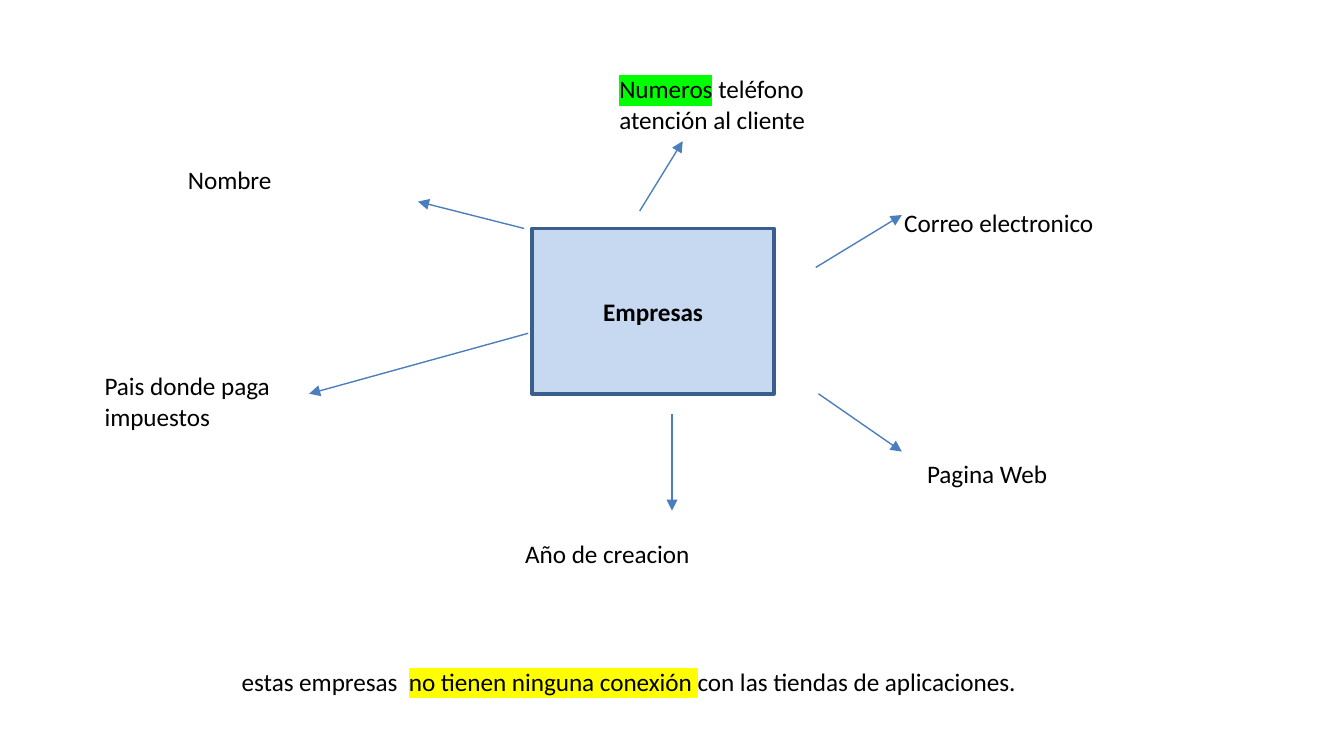
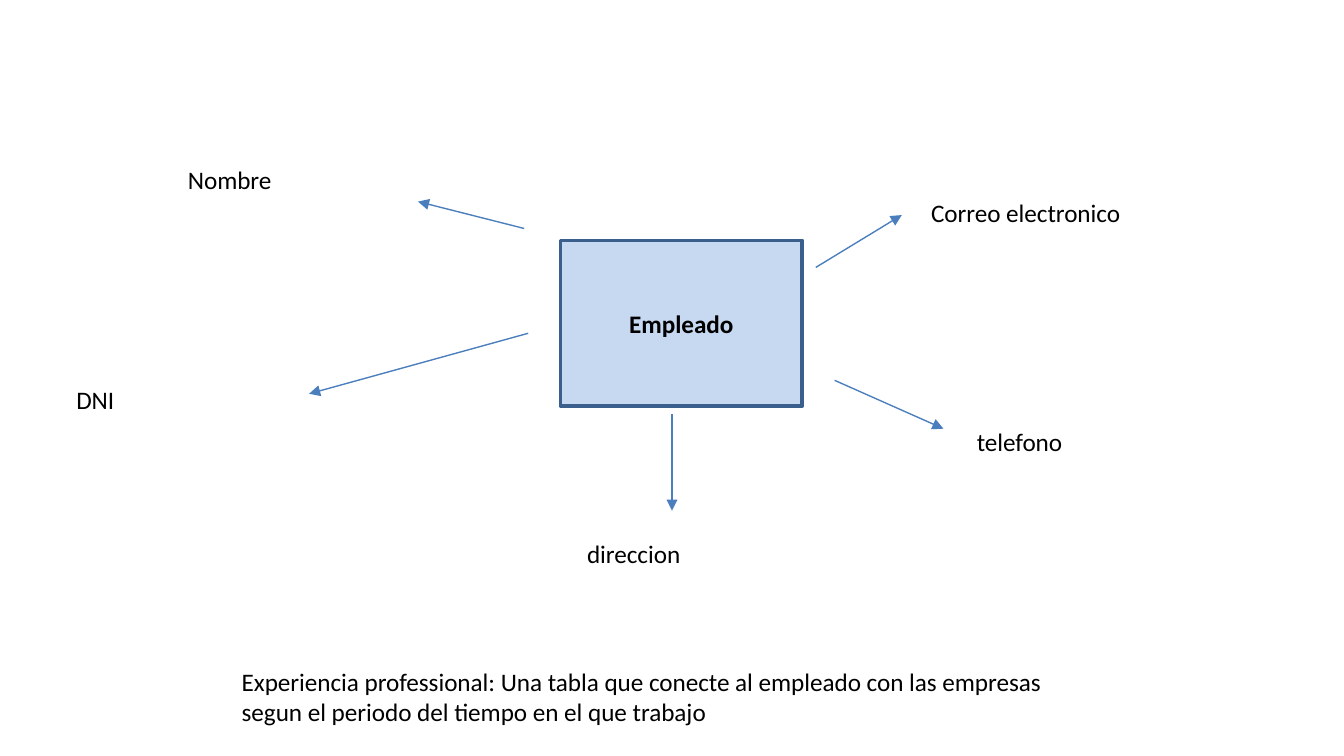
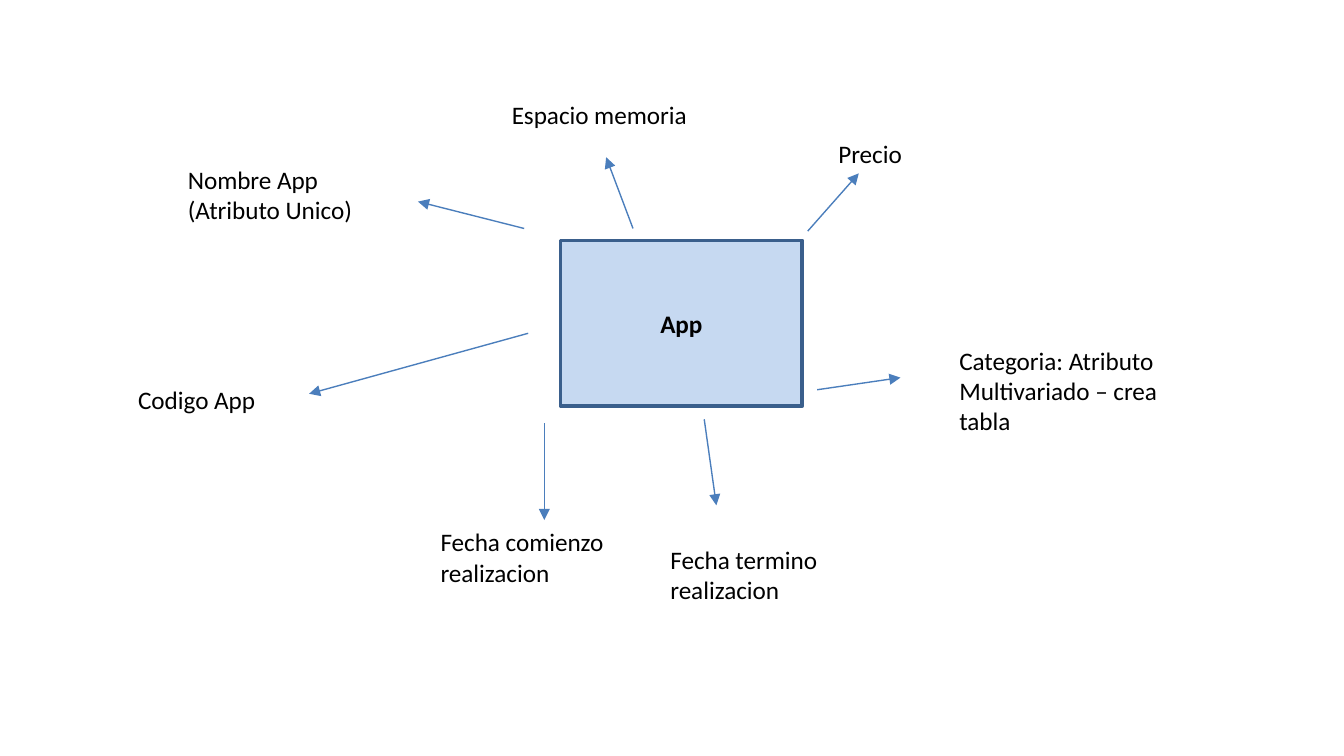
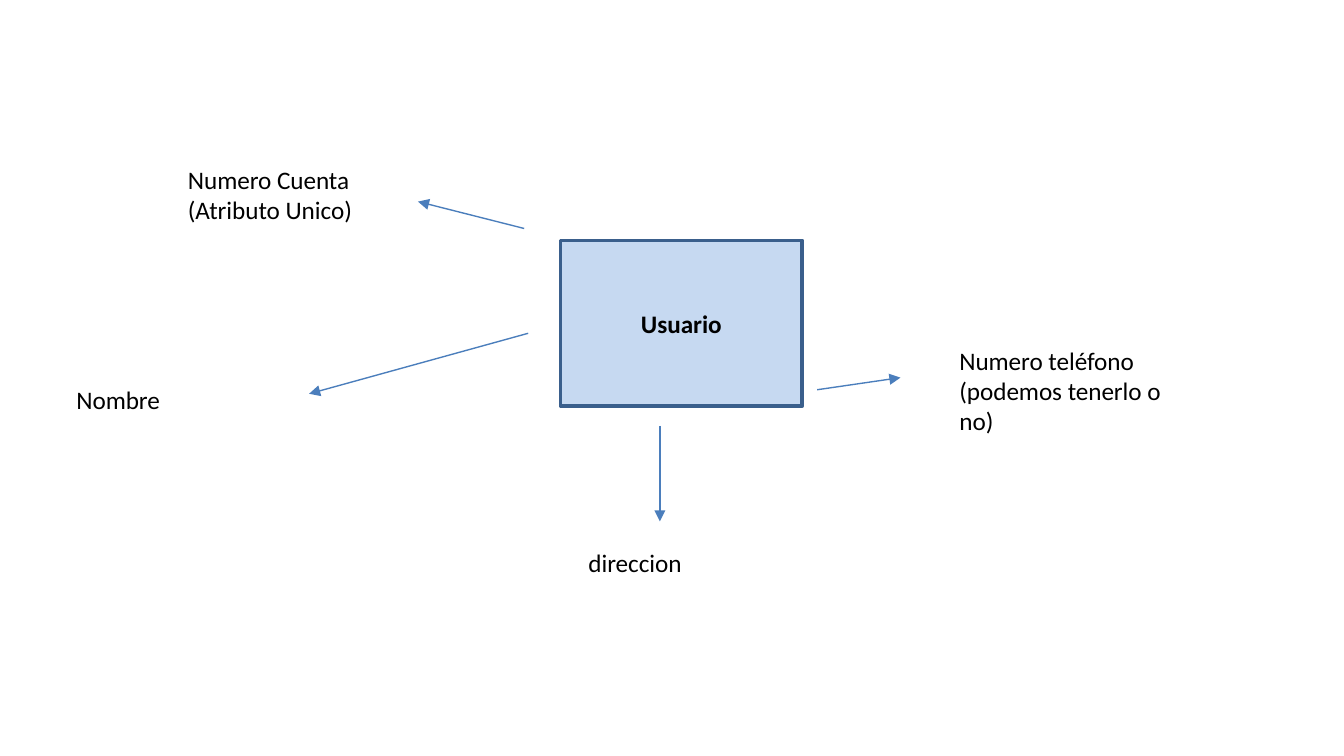
from dataclasses import dataclass

from lxml.etree import SubElement
from pptx import Presentation
from pptx.dml.color import RGBColor as Color
from pptx.enum.shapes import MSO_CONNECTOR as Connector, MSO_SHAPE as Shape
from pptx.enum.text import MSO_ANCHOR as Anchor, MSO_AUTO_SIZE as AutoSize, PP_ALIGN as Align
from pptx.oxml.ns import qn
from pptx.util import Inches, Pt


@dataclass(frozen=True)
class Theme:
    font: str = "Calibri"
    size: float = 13.5
    text: str = "000000"
    entity_fill: str = "C6D9F1"
    entity_line: str = "3A5F8C"
    arrow: str = "4B7EBC"
    green: str = "00FF00"
    yellow: str = "FFFF00"
    entity_width: float = 2
    arrow_width: float = 0.75


theme = Theme()


def write(frame, text, bold=False, align=Align.LEFT, marked="", marker=None):
    frame.word_wrap = True
    for index, line in enumerate(text.split("\n")):
        para = frame.add_paragraph() if index else frame.paragraphs[0]
        para.alignment = align
        pieces = line.partition(marked) if marked else [line]
        for piece in filter(None, pieces):
            span = para.add_run()
            span.text = piece
            span.font.name = theme.font
            span.font.size = Pt(theme.size)
            span.font.bold = bold
            span.font.color.rgb = Color.from_string(theme.text)
            if piece == marked:
                properties = span.font._element
                highlight = SubElement(properties, qn("a:highlight"))
                SubElement(highlight, qn("a:srgbClr"), val=marker)
                properties.find(qn("a:solidFill")).addnext(highlight)


ENTITY_SIZE = (1.8, 1.23)
LABEL_WIDTH = 1.8
NOTE_WIDTH = 6.58
NOTE_CORNER = (1.7, 4.91)
LINE_HEIGHT = 0.23
LABEL_PADDING = 0.1

shared_arrows = [(3.9, 1.7, 3.11, 1.5), (3.93, 2.48, 2.3, 2.93)]
down_arrow = (5, 3.08, 5, 3.8)
mail_arrow = (6.07, 1.99, 6.71, 1.6)
right_arrow = (6.08, 2.9, 6.7, 2.81)

diagrams = [
    {
        "entity": ("Empresas", 3.96, 1.7),
        "arrows": [down_arrow, mail_arrow, (6.09, 2.93, 6.71, 3.36), (4.76, 1.57, 5.08, 1.05)],
        "labels": [
            ("Nombre", 1.3, 1.17, 1, {}),
            ("Pais donde paga impuestos", 0.68, 2.71, 3, {}),
            ("Año de creacion", 3.81, 3.96, 1, {}),
            ("Correo electronico", 6.63, 1.49, 1, {}),
            ("Pagina Web", 6.8, 3.36, 1, {}),
            ("estas empresas  no tienen ninguna conexión con las tiendas de aplicaciones.",
             *NOTE_CORNER, 2, {"marked": "no tienen ninguna conexión ", "marker": theme.yellow}),
            ("Numeros teléfono atención al cliente", 4.51, 0.5, 2,
             {"marked": "Numeros", "marker": theme.green}),
        ],
    },
    {
        "entity": ("Empleado", 4.17, 1.79),
        "arrows": [down_arrow, mail_arrow, (6.21, 2.83, 7.02, 3.19)],
        "labels": [
            ("Nombre", 1.3, 1.17, 1, {}),
            ("DNI", 0.47, 2.81, 1, {}),
            ("direccion", 4.27, 3.96, 1, {}),
            ("Experiencia professional: Una tabla que conecte al empleado con las empresas "
             "segun el periodo del tiempo en el que trabajo", *NOTE_CORNER, 3, {}),
            ("telefono", 7.17, 3.12, 1, {}),
            ("Correo electronico", 6.83, 1.42, 1, {}),
        ],
    },
    {
        "entity": ("App", 4.17, 1.79),
        "arrows": [(4.05, 3.15, 4.05, 3.87), right_arrow, (5.24, 3.12, 5.33, 3.76),
                   (4.71, 1.7, 4.51, 1.17), (6.01, 1.72, 6.39, 1.29)],
        "labels": [
            ("Nombre App\n(Atributo Unico)", 1.3, 1.17, 2, {}),
            ("Codigo App", 0.93, 2.81, 1, {}),
            ("Fecha comienzo realizacion", 3.18, 3.87, 2, {}),
            ("Fecha termino realizacion", 4.89, 4, 2, {}),
            ("Categoria: Atributo Multivariado – crea tabla", 7.04, 2.52, 3, {}),
            ("Espacio memoria", 3.71, 0.69, 1, {}),
            ("Precio", 6.14, 0.98, 1, {}),
        ],
    },
    {
        "entity": ("Usuario", 4.17, 1.79),
        "arrows": [(4.91, 3.17, 4.91, 3.88), right_arrow],
        "labels": [
            ("Numero Cuenta\n(Atributo Unico)", 1.3, 1.17, 2, {}),
            ("Nombre", 0.47, 2.81, 1, {}),
            ("direccion", 4.28, 4.02, 1, {}),
            ("Numero teléfono\n(podemos tenerlo o no)", 7.04, 2.52, 3, {}),
        ],
    },
]

deck = Presentation()
deck.slide_width = Inches(10)
deck.slide_height = Inches(10 * 9 / 16)

for diagram in diagrams:
    page = deck.slides.add_slide(deck.slide_layouts[6])

    name, left, top = diagram["entity"]
    entity = page.shapes.add_shape(Shape.RECTANGLE, *map(Inches, (left, top, *ENTITY_SIZE)))
    entity.shadow.inherit = False
    entity.fill.solid()
    entity.fill.fore_color.rgb = Color.from_string(theme.entity_fill)
    entity.line.color.rgb = Color.from_string(theme.entity_line)
    entity.line.width = Pt(theme.entity_width)
    entity.text_frame.vertical_anchor = Anchor.MIDDLE
    write(entity.text_frame, name, bold=True, align=Align.CENTER)

    for ends in shared_arrows + diagram["arrows"]:
        arrow = page.shapes.add_connector(Connector.STRAIGHT, *map(Inches, ends))
        arrow.line.color.rgb = Color.from_string(theme.arrow)
        arrow.line.width = Pt(theme.arrow_width)
        SubElement(arrow.line._get_or_add_ln(), qn("a:tailEnd"), type="triangle")
        SubElement(arrow._element.spPr, qn("a:effectLst"))

    for text, left, top, lines, style in diagram["labels"]:
        width = NOTE_WIDTH if (left, top) == NOTE_CORNER else LABEL_WIDTH
        height = LABEL_PADDING + lines * LINE_HEIGHT
        box = page.shapes.add_textbox(*map(Inches, (left, top, width, height)))
        box.text_frame.auto_size = AutoSize.SHAPE_TO_FIT_TEXT
        write(box.text_frame, text, **style)

deck.save("out.pptx")
